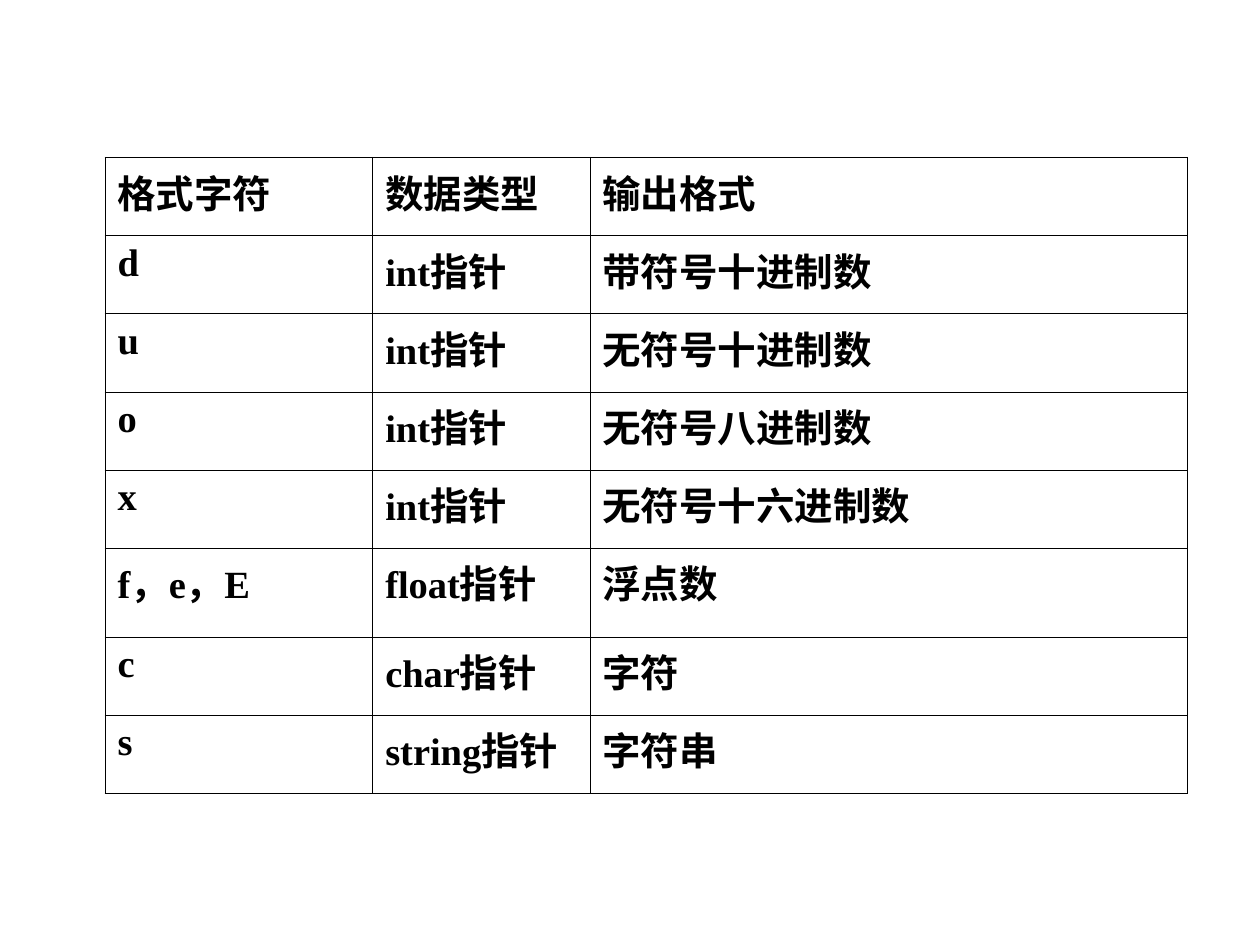
import dataclasses

import lxml.etree
import pptx
import pptx.dml.color
import pptx.enum.lang
import pptx.oxml.ns
import pptx.util


@dataclasses.dataclass(frozen=True)
class Theme:
    """Colours, type and line widths of the slide."""
    ink: str = "000000"
    paper: str = "FFFFFF"
    face: str = "Times New Roman"
    size: int = 22
    thin: float = 0.34
    rule: float = 0.45
    thick: float = 0.96


THEME = Theme()
WIDE, HIGH = pptx.util.Inches(10), pptx.util.Inches(7.5)
LEFT, TOP = 8.33, 16.67
COLS = [21.25, 17.25, 47.4]
ROWS = [8.27] * 5 + [9.4] + [8.27] * 2
CELLS = [
    ("格式字符", "数据类型", "输出格式"),
    ("d", "int指针", "带符号十进制数"),
    ("u", "int指针", "无符号十进制数"),
    ("o", "int指针", "无符号八进制数"),
    ("x", "int指针", "无符号十六进制数"),
    ("f，e，E", "float指针", "浮点数"),
    ("c", "char指针", "字符"),
    ("s", "string指针", "字符串"),
]


def share(part, whole):
    """Turn a percentage of a slide side into a length."""
    return round(whole * part / 100)


def colour(code):
    """Make a colour from its hex code."""
    return pptx.dml.color.RGBColor.from_string(code)


def write(cell, text):
    """Put styled text into a cell."""
    run = cell.text_frame.paragraphs[0].add_run()
    run.text = text
    form = {"name": THEME.face, "size": pptx.util.Pt(THEME.size), "bold": True,
            "language_id": pptx.enum.lang.MSO_LANGUAGE_ID.SIMPLIFIED_CHINESE}
    for key, value in form.items():
        setattr(run.font, key, value)
    run.font.color.rgb = colour(THEME.ink)


def edge(cell, widths):
    """Draw the borders of a cell from a dict of side and width."""
    props = cell._tc.get_or_add_tcPr()
    name = pptx.oxml.ns.qn
    for side, width in widths.items():
        line = lxml.etree.SubElement(props, name("a:ln" + side),
                                     w=str(pptx.util.Pt(width)))
        fill = lxml.etree.SubElement(line, name("a:solidFill"))
        lxml.etree.SubElement(fill, name("a:srgbClr"), val=THEME.ink)


def sides(row, col):
    """Give the border widths for a place in the table."""
    end, last = len(ROWS) - 1, len(COLS) - 1
    return {
        "L": THEME.thin if col == 0 else THEME.rule,
        "R": THEME.thin if col == last else THEME.rule,
        "T": THEME.thick if row == 0 else THEME.rule,
        "B": THEME.thick if row == end and col < last else THEME.rule,
    }


def grid(slide):
    """Add the table of format characters."""
    frame = slide.shapes.add_table(
        len(ROWS), len(COLS), share(LEFT, WIDE), share(TOP, HIGH),
        share(sum(COLS), WIDE), share(sum(ROWS), HIGH))
    table = frame.table
    for key in ("first_row", "horz_banding"):
        setattr(table, key, False)
    for col, part in zip(table.columns, COLS):
        col.width = share(part, WIDE)
    for row, part in zip(table.rows, ROWS):
        row.height = share(part, HIGH)
    for y, texts in enumerate(CELLS):
        for x, text in enumerate(texts):
            cell = table.cell(y, x)
            write(cell, text)
            edge(cell, sides(y, x))
            cell.fill.solid()
            cell.fill.fore_color.rgb = colour(THEME.paper)


def main():
    """Build and save the slide."""
    deck = pptx.Presentation()
    deck.slide_width, deck.slide_height = WIDE, HIGH
    grid(deck.slides.add_slide(deck.slide_layouts[6]))
    deck.save("out.pptx")


if __name__ == "__main__":
    main()
